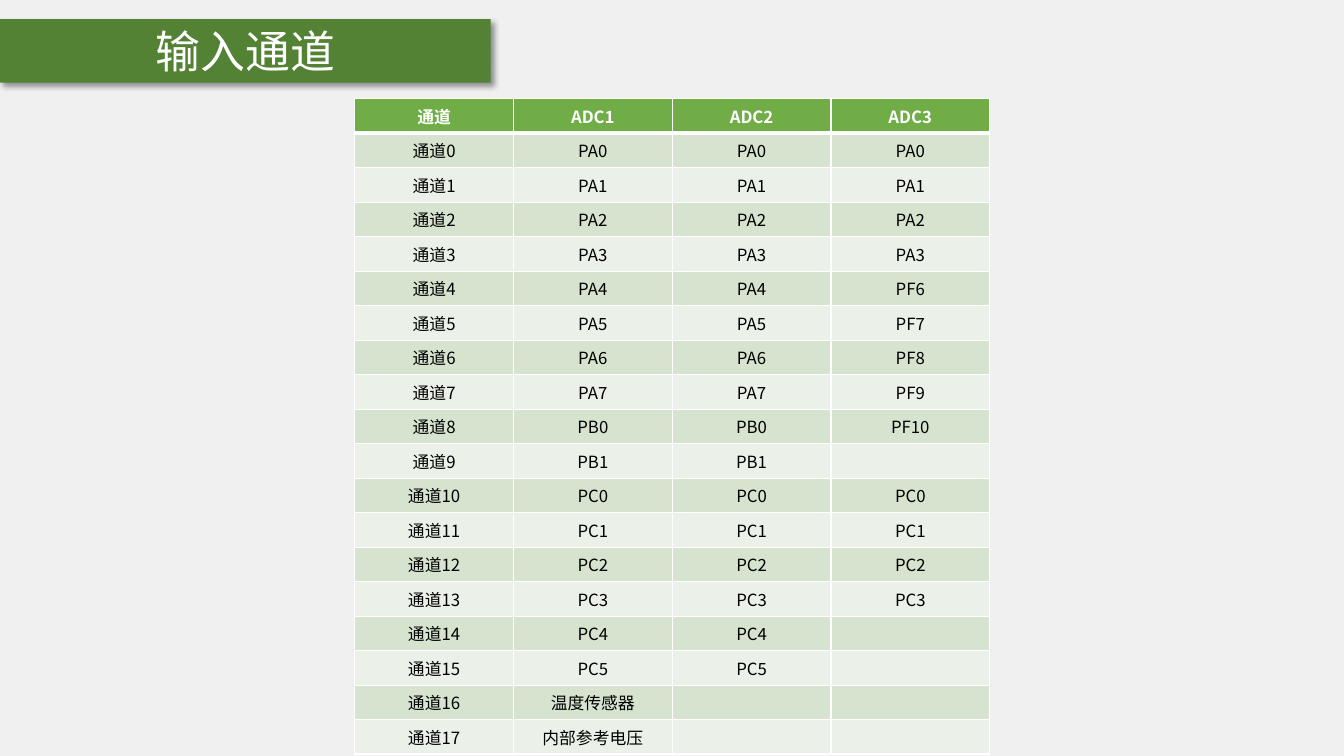
from dataclasses import dataclass
from itertools import zip_longest

from lxml.etree import SubElement
from pptx import Presentation
from pptx.dml.color import RGBColor as Color
from pptx.enum.shapes import MSO_SHAPE as Shape
from pptx.enum.text import MSO_ANCHOR as Anchor, PP_ALIGN as Align
from pptx.oxml.ns import qn
from pptx.slide import Slide
from pptx.table import _Cell as Cell
from pptx.text.text import TextFrame
from pptx.util import Pt


@dataclass(frozen=True)
class Theme:
    """Colours, font and type sizes of the slide."""
    font: str = "Noto Sans CJK SC"
    page: str = "F0F0F0"
    banner: str = "548235"
    header: str = "70AD47"
    bands: tuple[str, str] = ("D5E3CF", "EBF1E9")
    white: str = "FFFFFF"
    black: str = "000000"
    title_size: float = 32
    table_size: float = 12
    rule: float = 1
    header_rule: float = 3


@dataclass(frozen=True)
class Box:
    """A rectangle in points."""
    left: float
    top: float
    width: float
    height: float


@dataclass(frozen=True)
class CellStyle:
    """The look of every cell in one table row."""
    fill: str
    ink: str
    bold: bool
    top_rule: float
    bottom_rule: float


THEME = Theme()
BANNER = Box(0, 13.7, 350.6, 45.4)
TABLE = Box(253.4, 70.6, 453.6, 432)
HEADINGS = ("通道", "ADC1", "ADC2", "ADC3")


def pins(port: str, first: int, last: int) -> list[str]:
    """List the pins of a port from first to last."""
    return [f"P{port}{number}" for number in range(first, last + 1)]


def channel_rows() -> list[tuple[str, ...]]:
    """Return the table rows, heading first."""
    shared = pins("A", 0, 7) + pins("B", 0, 1) + pins("C", 0, 5)
    adc1 = shared + ["温度传感器", "内部参考电压"]
    adc3 = pins("A", 0, 3) + pins("F", 6, 10) + [""] + pins("C", 0, 3)
    channels = [f"通道{number}" for number in range(len(adc1))]
    return [HEADINGS, *zip_longest(channels, adc1, shared, adc3, fillvalue="")]


def write(frame: TextFrame, text: str, size: float, ink: str, bold: bool = False) -> None:
    """Put one centred, formatted line in a text frame."""
    frame.text = text
    para = frame.paragraphs[0]
    para.alignment = Align.CENTER
    for span in para.runs:
        span.font.name = THEME.font
        span.font.size = Pt(size)
        span.font.bold = bold
        span.font.color.rgb = Color.from_string(ink)
        SubElement(span.font._element, qn("a:ea"), typeface=THEME.font)
    if not text:
        SubElement(para._p, qn("a:endParaRPr"), sz=str(int(size * 100)))


def draw_banner(page: Slide, box: Box, title: str) -> None:
    """Draw the title banner with its soft shadow."""
    banner = page.shapes.add_shape(
        Shape.RECTANGLE, Pt(box.left), Pt(box.top), Pt(box.width), Pt(box.height))
    banner.fill.solid()
    banner.fill.fore_color.rgb = Color.from_string(THEME.banner)
    banner.line.fill.background()
    banner.shadow.inherit = False
    effects = banner._element.spPr.find(qn("a:effectLst"))
    shadow = SubElement(effects, qn("a:outerShdw"), blurRad=str(Pt(4)), dist=str(Pt(3)),
                        dir="2700000", algn="tl", rotWithShape="0")
    shade = SubElement(shadow, qn("a:srgbClr"), val=THEME.black)
    SubElement(shade, qn("a:alpha"), val="40000")
    banner.text_frame.vertical_anchor = Anchor.MIDDLE
    write(banner.text_frame, title, THEME.title_size, THEME.white)


def style_cell(cell: Cell, text: str, style: CellStyle) -> None:
    """Fill one table cell and rule its edges."""
    write(cell.text_frame, text, THEME.table_size, style.ink, style.bold)
    cell.vertical_anchor = Anchor.MIDDLE
    properties = cell._tc.get_or_add_tcPr()
    edges = {"L": THEME.rule, "R": THEME.rule, "T": style.top_rule, "B": style.bottom_rule}
    for edge, width in edges.items():
        line = SubElement(properties, qn(f"a:ln{edge}"), w=str(Pt(width)))
        SubElement(SubElement(line, qn("a:solidFill")), qn("a:srgbClr"), val=THEME.white)
    cell.fill.solid()
    cell.fill.fore_color.rgb = Color.from_string(style.fill)


def row_style(index: int) -> CellStyle:
    """Choose the style of a table row by its position."""
    if index == 0:
        return CellStyle(THEME.header, THEME.white, True, THEME.rule, THEME.header_rule)
    top_rule = THEME.header_rule if index == 1 else THEME.rule
    return CellStyle(THEME.bands[(index - 1) % 2], THEME.black, False, top_rule, THEME.rule)


def draw_table(page: Slide, box: Box, rows: list[tuple[str, ...]]) -> None:
    """Draw the channel table with equal rows and columns."""
    table = page.shapes.add_table(
        len(rows), len(HEADINGS),
        Pt(box.left), Pt(box.top), Pt(box.width), Pt(box.height)).table
    for index, texts in enumerate(rows):
        for cell, text in zip(table.rows[index].cells, texts):
            style_cell(cell, text, row_style(index))


def main() -> None:
    """Build and save the deck."""
    deck = Presentation()
    deck.slide_width, deck.slide_height = Pt(960), Pt(540)
    page = deck.slides.add_slide(deck.slide_layouts[6])
    page.background.fill.solid()
    page.background.fill.fore_color.rgb = Color.from_string(THEME.page)
    draw_banner(page, BANNER, "输入通道")
    draw_table(page, TABLE, channel_rows())
    deck.save("out.pptx")


if __name__ == "__main__":
    main()
